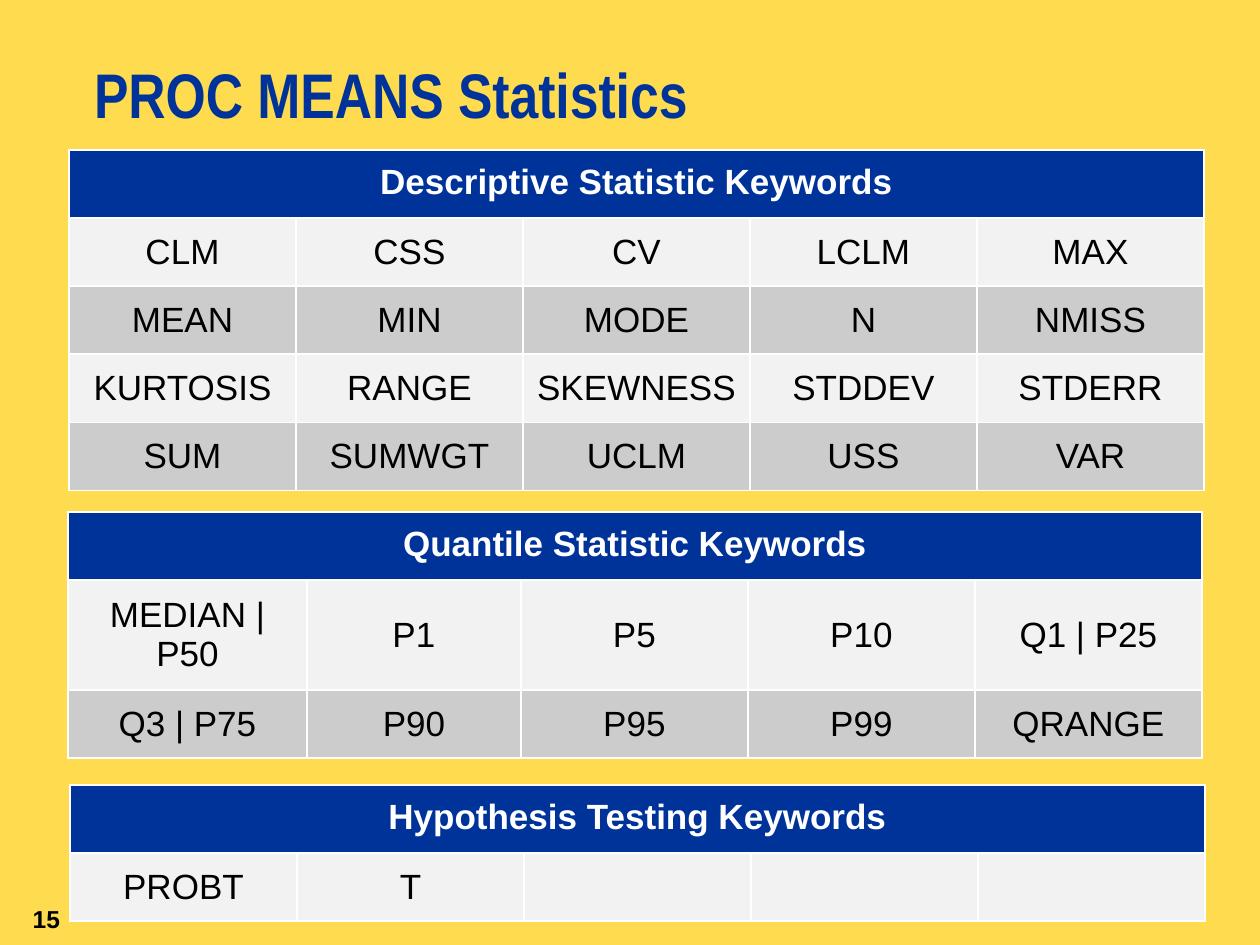
from pptx import Presentation
from pptx.dml.color import RGBColor
from pptx.enum.text import MSO_ANCHOR, PP_ALIGN
from pptx.oxml import parse_xml
from pptx.oxml.ns import nsdecls
from pptx.util import Emu, Pt

COLORS = {
    "back": "FFDC4F", "blue": "003399", "white": "FFFFFF",
    "light": "F2F2F2", "gray": "CCCCCC", "black": "000000",
}
SCALE = 914400 / 126
ROW = 67
EVEN = [227] * 5

DESCRIBE = [
    ["CLM", "CSS", "CV", "LCLM", "MAX"],
    ["MEAN", "MIN", "MODE", "N", "NMISS"],
    ["KURTOSIS", "RANGE", "SKEWNESS", "STDDEV", "STDERR"],
    ["SUM", "SUMWGT", "UCLM", "USS", "VAR"],
]
QUANTILE = [
    ["MEDIAN | P50", "P1", "P5", "P10", "Q1 | P25"],
    ["Q3 | P75", "P90", "P95", "P99", "QRANGE"],
]
TESTING = [["PROBT", "T", "", "", ""]]


def px(n):
    return Emu(round(n * SCALE))


def rgb(name):
    return RGBColor.from_string(COLORS[name])


def write(frame, text, size=20, font="Arial", color="black", bold=False,
          align=PP_ALIGN.CENTER, lead=None):
    para = frame.paragraphs[0]
    para.alignment = align
    if lead:
        para.line_spacing = Pt(lead)
    run = para.add_run()
    run.text = text
    run.font.size = Pt(size)
    run.font.name = font
    run.font.bold = bold
    run.font.color.rgb = rgb(color)


def label(slide, box, text, pad=(0, 0), anchor=MSO_ANCHOR.TOP, **style):
    frame = slide.shapes.add_textbox(*map(px, box)).text_frame
    frame.word_wrap = True
    frame.vertical_anchor = anchor
    frame.margin_left = frame.margin_right = px(pad[0])
    frame.margin_top = frame.margin_bottom = px(pad[1])
    write(frame, text, **style)


def border(cell):
    props = cell._tc.get_or_add_tcPr()
    for side in ("lnL", "lnR", "lnT", "lnB"):
        props.append(parse_xml(
            f'<a:{side} {nsdecls("a")} w="{Pt(1)}"><a:solidFill>'
            f'<a:srgbClr val="{COLORS["white"]}"/></a:solidFill></a:{side}>'))


def grid(slide, left, top, title, body, cols=EVEN, rows=None):
    rows = rows or [ROW] * (len(body) + 1)
    box = map(px, (left, top, sum(cols), sum(rows)))
    table = slide.shapes.add_table(len(rows), len(cols), *box).table
    table.horz_banding = False
    for col, width in zip(table.columns, cols):
        col.width = px(width)
    for row, height in zip(table.rows, rows):
        row.height = px(height)

    # Header spans every column; body rows alternate in shade
    table.cell(0, 0).merge(table.cell(0, len(cols) - 1))
    lines = [[title] + [""] * (len(cols) - 1)] + body
    for r, line in enumerate(lines):
        head = r == 0
        shade = "blue" if head else ("gray", "light")[r % 2]
        for c, text in enumerate(line):
            cell = table.cell(r, c)
            border(cell)
            cell.fill.solid()
            cell.fill.fore_color.rgb = rgb(shade)
            cell.vertical_anchor = MSO_ANCHOR.TOP if head else MSO_ANCHOR.MIDDLE
            cell.margin_left = cell.margin_right = px(13)
            cell.margin_top = cell.margin_bottom = px(13)
            if text:
                write(cell.text_frame, text, bold=head,
                      color="white" if head else "black")


def main():
    deck = Presentation()
    deck.slide_width, deck.slide_height = px(1260), px(945)
    slide = deck.slides.add_slide(deck.slide_layouts[6])
    slide.background.fill.solid()
    slide.background.fill.fore_color.rgb = rgb("back")

    # Title and page number
    label(slide, (94, 63, 1166, 94), "PROC MEANS Statistics", size=36,
          font="Arial Narrow", color="blue", bold=True,
          align=PP_ALIGN.LEFT, lead=39)
    label(slide, (0, 892, 73, 53), "15", pad=(13, 6), anchor=MSO_ANCHOR.MIDDLE,
          size=14, bold=True, align=PP_ALIGN.RIGHT)

    # Keyword tables
    grid(slide, 69, 150, "Descriptive Statistic Keywords", DESCRIBE)
    grid(slide, 68, 512, "Quantile Statistic Keywords", QUANTILE,
         cols=[239, 214, 227, 227, 227], rows=[ROW, 109, ROW])
    grid(slide, 70, 785, "Hypothesis Testing Keywords", TESTING)

    deck.save("out.pptx")


if __name__ == "__main__":
    main()
